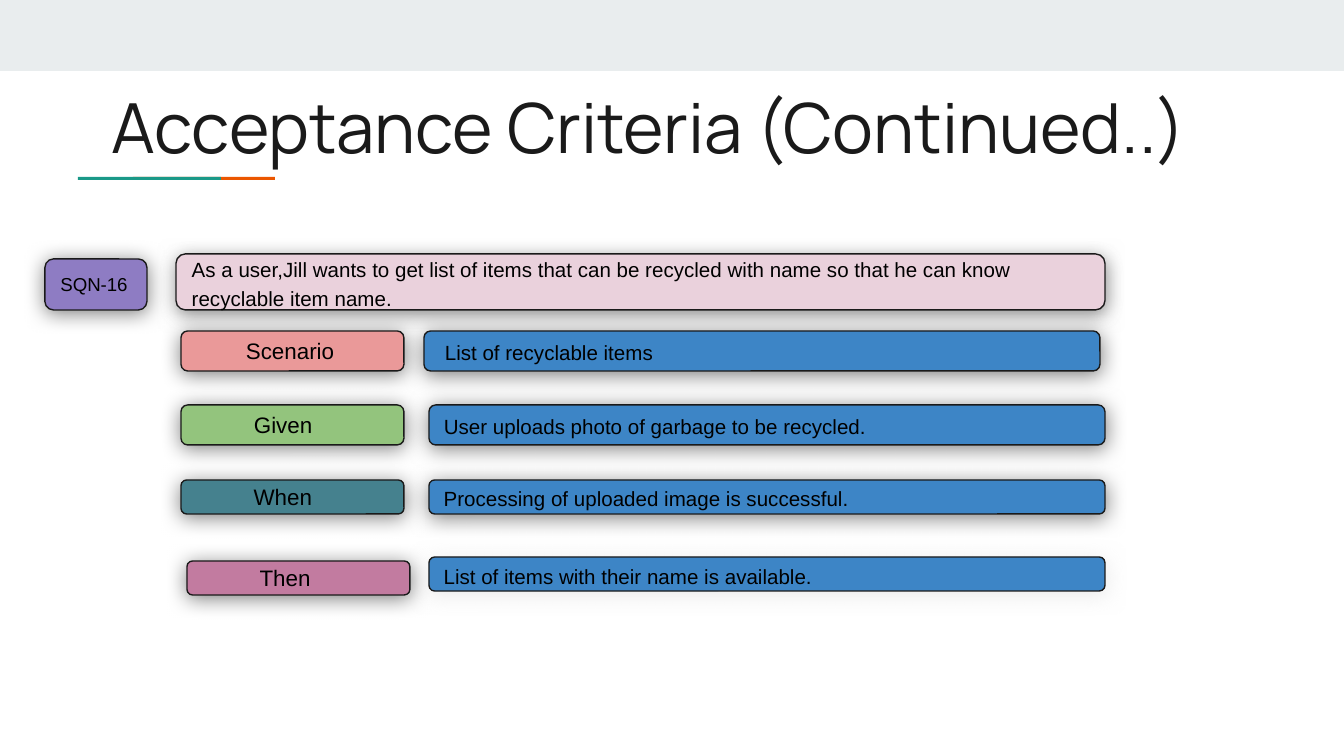
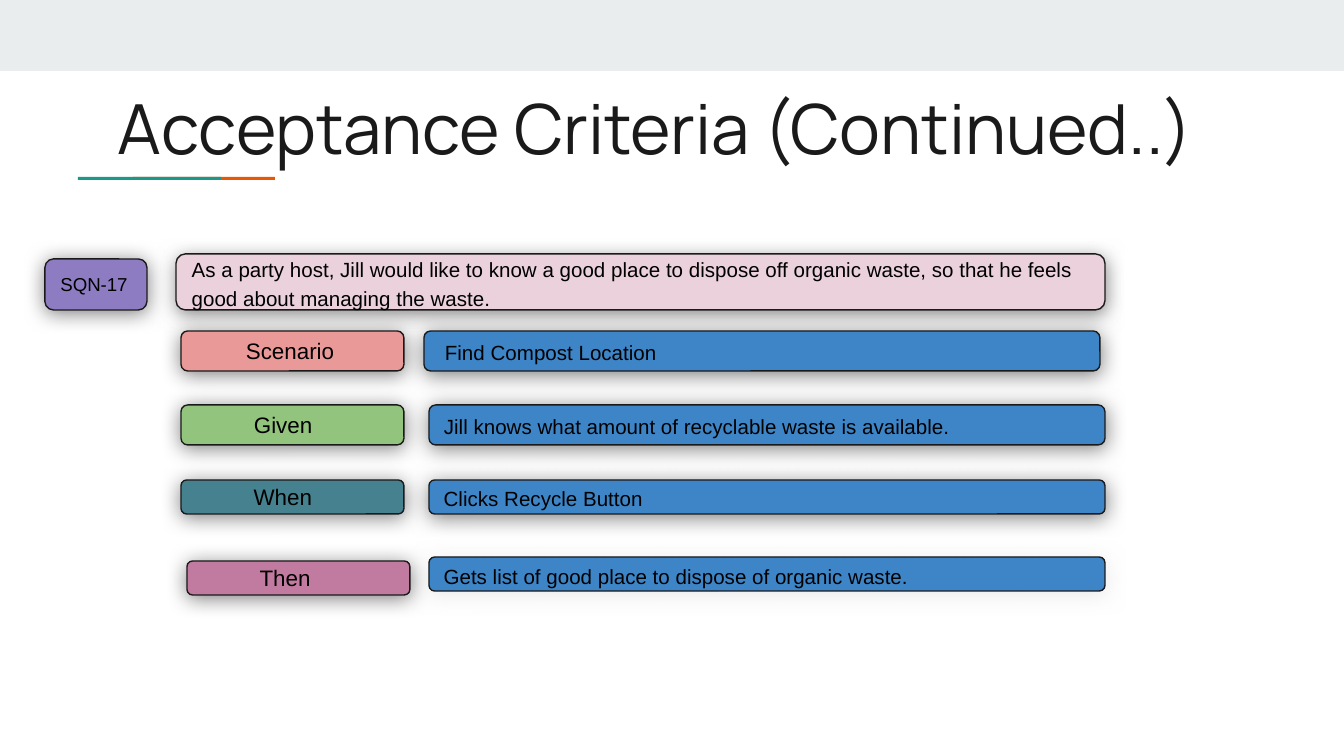
from dataclasses import dataclass
from typing import Any

import lxml.etree
import pptx
import pptx.dml.color
import pptx.enum.shapes
import pptx.enum.text
import pptx.oxml.ns
import pptx.shapes.autoshape
import pptx.slide
import pptx.util

PAGE_WIDTH, PAGE_HEIGHT = 1344, 756
EMU_PER_PX = 9144000 / PAGE_WIDTH
INSET = 13
TITLE = "Acceptance Criteria (Continued..)"

COLORS = {
    "band": "E9EDEE", "orange": "EB5600", "teal": "1A9988", "ink": "1A1A1A",
    "text": "000000", "story": "EAD1DC", "ticket": "8E7CC3",
    "scenario": "EA9999", "given": "93C47D", "when": "45818E",
    "then": "C27BA0", "answer": "3D85C6",
    "gray_shadow": "595959", "light_shadow": "D5D5D5",
}
SHAPES = pptx.enum.shapes.MSO_SHAPE
LEFT = pptx.enum.text.PP_ALIGN.LEFT


@dataclass(frozen=True)
class Box:
    left: int
    top: int
    width: int
    height: int


@dataclass(frozen=True)
class Shadow:
    color: str = "text"
    opacity: int = 50
    blur: float = 11.25
    distance: float = 1.5


@dataclass(frozen=True)
class Style:
    fill: str
    size: int
    line_spacing: float = 1.0
    indent: int = 0
    shadow: Shadow = Shadow()


@dataclass(frozen=True)
class Step:
    name: str
    label_left: int
    label_top: int
    label_indent: int
    answer_left: int
    answer_top: int
    height: int
    answer_indent: int = 0
    answer_shadow: Shadow = Shadow()


@dataclass(frozen=True)
class Story:
    ticket: str
    text: str
    answers: tuple[str, ...]
    title_box: Box


BAND = Box(0, 0, PAGE_WIDTH, 71)
STRIPES = {"orange": Box(133, 177, 142, 3), "teal": Box(78, 177, 143, 3)}
STORY_BOX = Box(176, 254, 929, 56)
TICKET_BOX = Box(45, 259, 102, 51)
LABEL_WIDTH, ANSWER_WIDTH = 223, 676
STORY_STYLE = Style("story", 11, 1.15, shadow=Shadow("gray_shadow", 70, 10.1))
TICKET_STYLE = Style("ticket", 10)

STEPS = (
    Step("Scenario", 181, 331, 50, 424, 331, 40, answer_indent=6),
    Step("Given", 181, 405, 58, 429, 405, 40),
    Step("When", 181, 480, 58, 429, 480, 34),
    Step("Then", 187, 561, 58, 429, 557, 34,
         answer_shadow=Shadow("light_shadow")),
)

STORIES = (
    Story(
        "SQN-16",
        "As a user,Jill wants to get list of items that can be recycled "
        "with name so that he can know recyclable item name.",
        (
            "List of recyclable items",
            "User uploads photo of garbage to be recycled.",
            "Processing of uploaded image is successful.",
            "List of items with their name is available.",
        ),
        Box(98, 71, 1418, 110),
    ),
    Story(
        "SQN-17",
        "As a party host, Jill would like to know a good place to dispose off "
        "organic waste, so that he feels good about managing the waste.",
        (
            "Find Compost Location",
            "Jill knows what amount of recyclable waste is available.",
            "Clicks Recycle Button",
            "Gets list of good place to dispose of organic waste.",
        ),
        Box(105, 72, 1231, 110),
    ),
)


def px(length: int) -> pptx.util.Emu:
    return pptx.util.Emu(round(length * EMU_PER_PX))


def rgb(name: str) -> pptx.dml.color.RGBColor:
    return pptx.dml.color.RGBColor.from_string(COLORS[name])


def apply(target: Any, values: dict[str, Any]) -> None:
    for name, value in values.items():
        setattr(target, name, value)


def edges(box: Box) -> dict[str, pptx.util.Emu]:
    return {name: px(getattr(box, name))
            for name in ("left", "top", "width", "height")}


def write(shape: Any, text: str, font: str, size: int, color: str,
          anchor: pptx.enum.text.MSO_ANCHOR, indent: int = 0,
          line_spacing: float = 1.0) -> None:
    frame = shape.text_frame
    apply(frame, {
        "text": text,
        "word_wrap": True,
        "auto_size": pptx.enum.text.MSO_AUTO_SIZE.NONE,
        "vertical_anchor": anchor,
        "margin_left": px(INSET + indent),
        "margin_right": px(INSET),
        "margin_top": px(INSET),
        "margin_bottom": px(INSET),
    })
    para = frame.paragraphs[0]
    apply(para, {"alignment": LEFT, "line_spacing": line_spacing})
    span = para.runs[0]
    apply(span.font, {"name": font, "size": pptx.util.Pt(size)})
    span.font.color.rgb = rgb(color)


def add_filled(page: pptx.slide.Slide, kind: SHAPES, box: Box,
               fill: str) -> pptx.shapes.autoshape.Shape:
    """Add a borderless shape without a shadow."""
    shape = page.shapes.add_shape(kind, **edges(box))
    shape.shadow.inherit = False
    shape.fill.solid()
    shape.fill.fore_color.rgb = rgb(fill)
    shape.line.fill.background()
    return shape


def cast_shadow(shape: pptx.shapes.autoshape.Shape, shadow: Shadow) -> None:
    """Place a soft shadow straight below the shape."""
    qn = pptx.oxml.ns.qn
    effects = shape._element.spPr.find(qn("a:effectLst"))
    outer = lxml.etree.SubElement(effects, qn("a:outerShdw"), {
        "blurRad": str(pptx.util.Pt(shadow.blur)),
        "dist": str(pptx.util.Pt(shadow.distance)),
        "dir": "5400000",
        "algn": "bl",
        "rotWithShape": "0",
    })
    color = lxml.etree.SubElement(outer, qn("a:srgbClr"),
                                  val=COLORS[shadow.color])
    lxml.etree.SubElement(color, qn("a:alpha"),
                          val=str(shadow.opacity * 1000))


def add_card(page: pptx.slide.Slide, box: Box, text: str,
             style: Style) -> None:
    card = add_filled(page, SHAPES.ROUNDED_RECTANGLE, box, style.fill)
    card.line.color.rgb = rgb("ink")
    card.line.width = pptx.util.Pt(0.75)
    cast_shadow(card, style.shadow)
    write(card, text, "Arial", style.size, "text",
          pptx.enum.text.MSO_ANCHOR.MIDDLE, style.indent, style.line_spacing)


def add_heading(page: pptx.slide.Slide, title_box: Box) -> None:
    add_filled(page, SHAPES.RECTANGLE, BAND, "band")
    for color, box in STRIPES.items():
        add_filled(page, SHAPES.RECTANGLE, box, color)
    title = page.shapes.title
    apply(title, edges(title_box))
    write(title, TITLE, "Manrope", 37, "ink", pptx.enum.text.MSO_ANCHOR.TOP)


def add_story(deck: Any, story: Story) -> None:
    page = deck.slides.add_slide(
        deck.slide_layouts.get_by_name("Title Only"))
    add_heading(page, story.title_box)
    add_card(page, STORY_BOX, story.text, STORY_STYLE)
    add_card(page, TICKET_BOX, story.ticket, TICKET_STYLE)
    for step in STEPS:
        box = Box(step.label_left, step.label_top, LABEL_WIDTH, step.height)
        add_card(page, box, step.name,
                 Style(step.name.lower(), 12, indent=step.label_indent))
    for step, answer in zip(STEPS, story.answers):
        box = Box(step.answer_left, step.answer_top, ANSWER_WIDTH, step.height)
        add_card(page, box, answer,
                 Style("answer", 11, 1.15, step.answer_indent,
                       step.answer_shadow))


def main() -> None:
    deck = pptx.Presentation()
    apply(deck, {"slide_width": px(PAGE_WIDTH),
                 "slide_height": px(PAGE_HEIGHT)})
    for story in STORIES:
        add_story(deck, story)
    deck.save("out.pptx")


if __name__ == "__main__":
    main()
